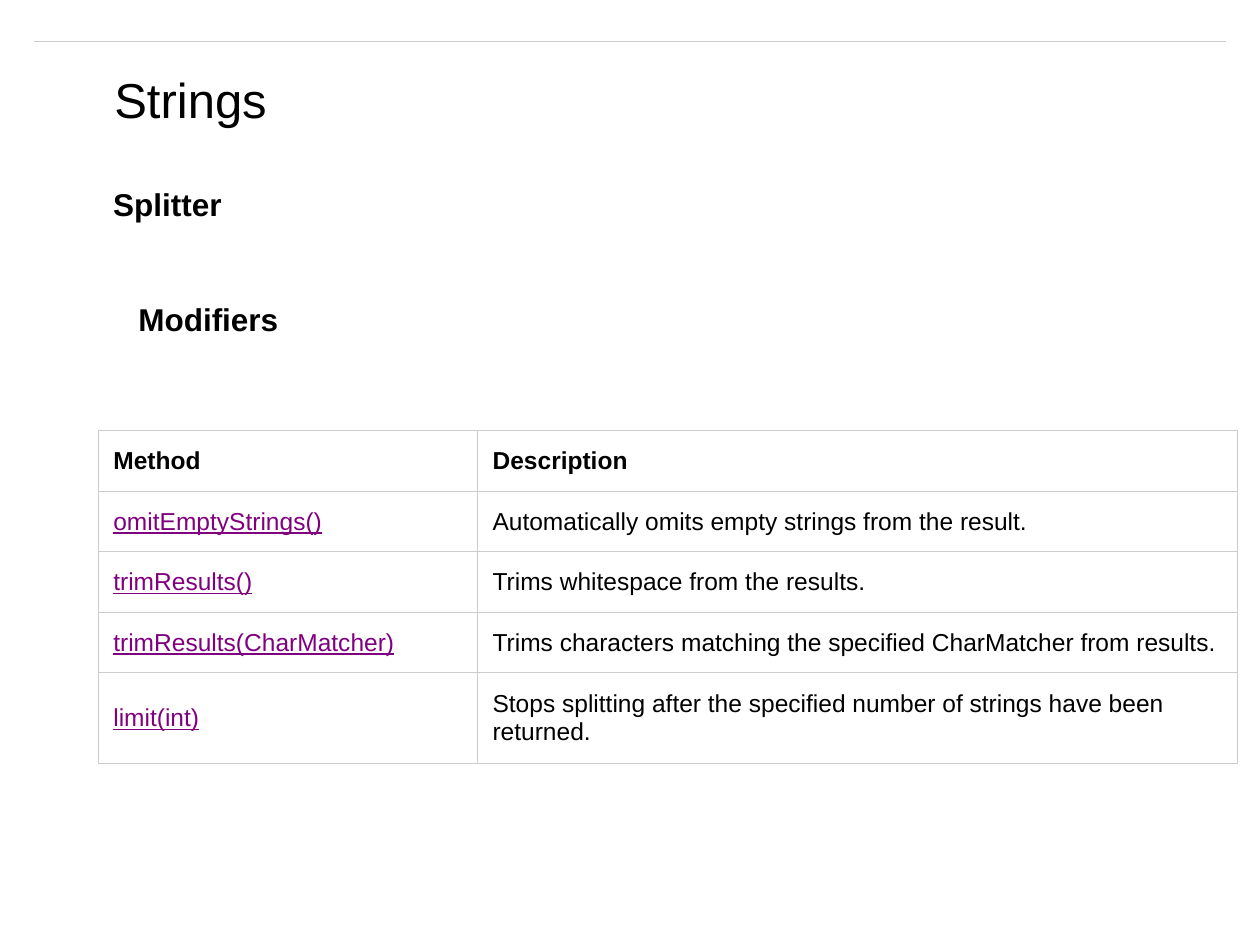
from typing import NamedTuple

from lxml import etree
from pptx import Presentation
from pptx.dml.color import RGBColor
from pptx.enum.shapes import MSO_CONNECTOR
from pptx.enum.text import MSO_ANCHOR, MSO_AUTO_SIZE
from pptx.oxml.ns import qn
from pptx.util import Inches, Pt

STRAIGHT = MSO_CONNECTOR.STRAIGHT
MIDDLE = MSO_ANCHOR.MIDDLE
GROW = MSO_AUTO_SIZE.SHAPE_TO_FIT_TEXT

WIDTH, HEIGHT = 10, 7.5
FONT = "Arial"
BLACK, PURPLE, GREY = "000000", "800080", "CCCCCC"
RULE_WIDTH = Pt(0.75)
CELL_MARGIN = Inches(0.12)
COLUMN_WIDTHS = (3.01, 6.03)
ROW_HEIGHTS = (0.48,) * 4 + (0.72,)


class Heading(NamedTuple):
    text: str
    left: float
    top: float
    width: float
    height: float
    size: int
    bold: bool = True
    wrap: bool = True


class Method(NamedTuple):
    name: str
    description: str


HEADINGS = (
    Heading("Strings", 0.81, 0.5, 1.43, 0.57, 28, bold=False, wrap=False),
    Heading("Splitter", 0.8, 1.42, 7.69, 0.4, 18),
    Heading("Modifiers", 1, 2.33, 7.69, 0.4, 18),
)

METHODS = (
    Method("Method", "Description"),
    Method("omitEmptyStrings()", "Automatically omits empty strings from the result."),
    Method("trimResults()", "Trims whitespace from the results."),
    Method("trimResults(CharMatcher)",
           "Trims characters matching the specified CharMatcher from results."),
    Method("limit(int)",
           "Stops splitting after the specified number of strings have been returned."),
)


def color(value: str) -> RGBColor:
    return RGBColor.from_string(value)


def write(frame, text: str, size: int, bold: bool = False,
          ink: str = BLACK, underline: bool = False) -> None:
    frame.text = text
    font = frame.paragraphs[0].runs[0].font
    font.name, font.size = FONT, Pt(size)
    font.bold, font.underline = bold, underline
    font.color.rgb = color(ink)


def draw_rule(page) -> None:
    margin, top = Inches(0.27), Inches(0.33)
    rule = page.shapes.add_connector(STRAIGHT, margin, top, Inches(WIDTH) - margin, top)
    rule.line.color.rgb = color(GREY)
    rule.line.width = RULE_WIDTH
    etree.SubElement(rule._element.spPr, qn("a:effectLst"))


def draw_heading(page, heading: Heading) -> None:
    box = page.shapes.add_textbox(*map(Inches, heading[1:5]))
    frame = box.text_frame
    frame.word_wrap = heading.wrap
    frame.auto_size = GROW
    write(frame, heading.text, heading.size, heading.bold)


def style_cell(cell) -> None:
    cell.vertical_anchor = MIDDLE
    cell.margin_left = cell.margin_right = CELL_MARGIN
    cell.margin_top = cell.margin_bottom = CELL_MARGIN
    properties = cell._tc.get_or_add_tcPr()
    for side in ("lnL", "lnR", "lnT", "lnB"):
        border = etree.SubElement(properties, qn(f"a:{side}"), w=str(RULE_WIDTH))
        fill = etree.SubElement(border, qn("a:solidFill"))
        etree.SubElement(fill, qn("a:srgbClr"), val=GREY)
    cell.fill.background()


def draw_methods(page) -> None:
    table = page.shapes.add_table(
        len(METHODS), len(COLUMN_WIDTHS), Inches(0.78), Inches(3.42),
        Inches(sum(COLUMN_WIDTHS)), Inches(sum(ROW_HEIGHTS))).table
    table.first_row = table.horz_banding = False
    for column, width in zip(table.columns, COLUMN_WIDTHS):
        column.width = Inches(width)
    for row, height in zip(table.rows, ROW_HEIGHTS):
        row.height = Inches(height)
    for row, method in enumerate(METHODS):
        for column, text in enumerate(method):
            cell = table.cell(row, column)
            style_cell(cell)
            linked = row > 0 and column == 0
            write(cell.text_frame, text, 14, bold=row == 0,
                  ink=PURPLE if linked else BLACK, underline=linked)


def main() -> None:
    deck = Presentation()
    deck.slide_width, deck.slide_height = Inches(WIDTH), Inches(HEIGHT)
    page = deck.slides.add_slide(deck.slide_layouts[6])
    draw_rule(page)
    for heading in HEADINGS:
        draw_heading(page, heading)
    draw_methods(page)
    deck.save("out.pptx")


if __name__ == "__main__":
    main()
